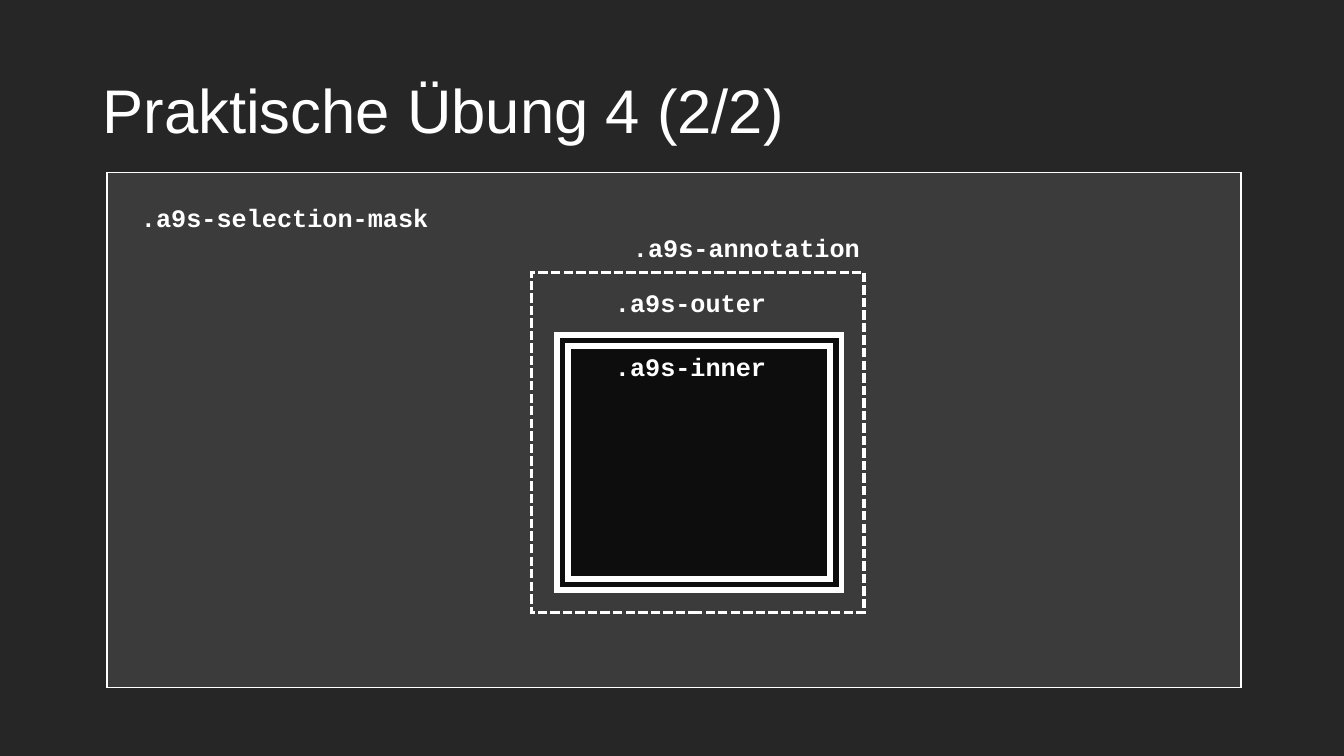
import dataclasses

import lxml.etree
import pptx
import pptx.dml.color
import pptx.enum.dml
import pptx.enum.shapes
import pptx.enum.text
import pptx.oxml.ns
import pptx.util

Inches = pptx.util.Inches


@dataclasses.dataclass(frozen=True)
class Theme:
    background: str = "262626"
    ink: str = "FFFFFF"
    dark: str = "0D0D0D"
    mask: str = "F8F8F8"
    title_font: str = "Arial"
    code_font: str = "Courier New"
    title_size: int = 44
    code_size: int = 18


def rgb(color):
    return pptx.dml.color.RGBColor.from_string(color)


def add_child(parent, tag, **attributes):
    return lxml.etree.SubElement(parent, pptx.oxml.ns.qn(tag), **attributes)


class Deck:
    def __init__(self, theme):
        self.theme = theme
        self.prs = pptx.Presentation()
        self.prs.slide_width = Inches(13.33)
        self.prs.slide_height = Inches(7.5)

    def slide(self):
        s = self.prs.slides.add_slide(self.prs.slide_layouts[6])
        s.background.fill.solid()
        s.background.fill.fore_color.rgb = rgb(self.theme.background)
        self.shapes = s.shapes

    def rect(self, box, line, width, fill=None, opacity=100, dash=None, parent=None):
        shapes = self.shapes if parent is None else parent.shapes
        sp = shapes.add_shape(pptx.enum.shapes.MSO_SHAPE.RECTANGLE, *map(Inches, box))
        sp.shadow.inherit = False
        if fill:
            sp.fill.solid()
            sp.fill.fore_color.rgb = rgb(fill)
            if opacity < 100:
                color = sp.fill._xPr.find(".//" + pptx.oxml.ns.qn("a:srgbClr"))
                add_child(color, "a:alpha", val=str(opacity * 1000))
        else:
            sp.fill.background()
        sp.line.color.rgb = rgb(line)
        sp.line.width = pptx.util.Pt(width)
        if dash:
            sp.line.dash_style = dash
        add_child(sp.line._get_or_add_ln(), "a:miter", lim="800000")

    def text(self, box, text, font, size, bold=False, wrap=False, spacing=None,
             anchor=pptx.enum.text.MSO_ANCHOR.TOP, parent=None):
        shapes = self.shapes if parent is None else parent.shapes
        tf = shapes.add_textbox(*map(Inches, box)).text_frame
        tf.word_wrap = wrap
        tf.vertical_anchor = anchor
        p = tf.paragraphs[0]
        p.line_spacing = spacing
        r = p.add_run()
        r.text = text
        r.font.name = font
        r.font.size = pptx.util.Pt(size)
        r.font.bold = bold
        r.font.color.rgb = rgb(self.theme.ink)

    def title(self, box, text):
        self.text(box, text, self.theme.title_font, self.theme.title_size, wrap=True,
                  spacing=0.9, anchor=pptx.enum.text.MSO_ANCHOR.MIDDLE)

    def code(self, left, top, width, text, parent=None):
        self.text((left, top, width, 0.4), text, self.theme.code_font,
                  self.theme.code_size, bold=True, parent=parent)

    def group(self):
        return self.shapes.add_group_shape()


def main():
    theme = Theme()
    deck = Deck(theme)
    deck.slide()

    mask = (1.06, 1.71, 11.25, 5.11)
    selection = (5.58, 3.38, 2.71, 2.42)

    deck.rect(mask, theme.ink, 1, fill=theme.mask, opacity=10)
    deck.title((0.92, 0.4, 11.5, 1.45), "Praktische Übung 4 (2/2)")
    deck.rect(mask, theme.ink, 1)
    deck.rect(selection, theme.ink, 12, fill=theme.dark)
    deck.rect(selection, theme.dark, 4)

    deck.code(6, 3.44, 1.71, ".a9s-inner")
    deck.code(6, 2.8, 1.71, ".a9s-outer")
    deck.code(1.3, 1.96, 3.07, ".a9s-selection-mask")

    annotation = deck.group()
    deck.rect((5.27, 2.7, 3.3, 3.38), theme.ink, 2.25,
              dash=pptx.enum.dml.MSO_LINE.SQUARE_DOT, parent=annotation)
    deck.code(6.18, 2.26, 2.46, ".a9s-annotation", parent=annotation)

    deck.prs.save("out.pptx")


if __name__ == "__main__":
    main()
